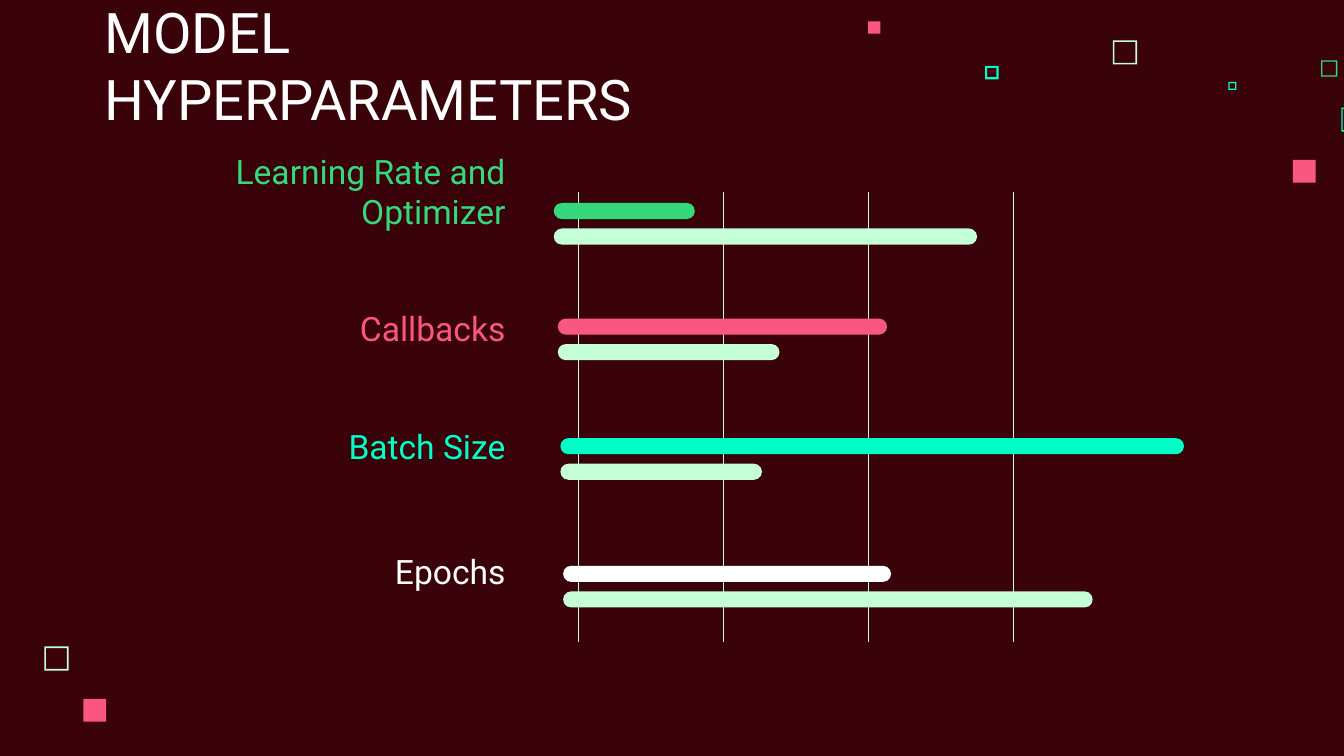
"""Build the model hyperparameters slide with paired comparison bars."""
from lxml import etree
from pptx import Presentation
from pptx.dml.color import RGBColor
from pptx.enum import shapes, text
from pptx.oxml.ns import qn
from pptx.util import Inches, Pt

THEME = {
    "font": "Roboto", "title_size": 30, "label_size": 18, "grid_width": 0.25,
    "background": "3A030A", "white": "FFFFFF", "mint": "C4FFD8",
    "green": "35D87B", "aqua": "00FFC6", "pink": "FA5780",
}

TITLE = "MODEL HYPERPARAMETERS"
TITLE_BOX = (0.68, 0.45, 5.17, 0.63)

# label, colour, label left, label top, bars left, bars top, bar lengths
PARAMETERS = [
    ("Epochs", "white", 1.8, 4.07, 4.19, 4.21, (2.44, 3.94)),
    ("Batch Size", "aqua", 1.8, 3.14, 4.17, 3.26, (4.64, 1.5)),
    ("Callbacks", "pink", 1.8, 2.26, 4.15, 2.37, (2.45, 1.65)),
    ("Learning Rate and Optimizer", "green", 0.68, 1.39, 4.12, 1.51, (1.05, 3.15)),
]
LABEL_RIGHT, LABEL_HEIGHT = 3.86, 0.43
BAR_HEIGHT, BAR_STEP = 0.12, 0.19

GRID_LEFT, GRID_STEP, GRID_COUNT = 4.3, 1.08, 4
GRID_TOP, GRID_BOTTOM = 1.43, 4.78

# left, top, side, colour, border as a share of the side
FRAMES = [
    (8.28, 0.3, 0.18, "mint", 0.07), (9.83, 0.45, 0.12, "green", 0.08),
    (9.14, 0.61, 0.06, "aqua", 0.17), (9.98, 0.8, 0.18, "aqua", 0.06),
    (7.33, 0.49, 0.1, "aqua", 0.15), (0.33, 4.81, 0.18, "mint", 0.07),
]
SQUARES = [(9.62, 1.19, 0.17), (6.46, 0.16, 0.09), (0.62, 5.2, 0.17)]


def color(name):
    return RGBColor.from_string(THEME[name])


def add_solid(slide, preset, box, fill):
    solid = slide.shapes.add_shape(preset, *map(Inches, box))
    solid.shadow.inherit = False
    solid.fill.solid()
    solid.fill.fore_color.rgb = color(fill)
    solid.line.fill.background()
    return solid


def add_words(slide, words, box, size, fill, align):
    frame = slide.shapes.add_textbox(*map(Inches, box)).text_frame
    frame.word_wrap = True
    frame.vertical_anchor = text.MSO_ANCHOR.BOTTOM
    frame.margin_left = frame.margin_right = Inches(0.1)
    frame.margin_top = frame.margin_bottom = Inches(0.1)
    frame.text = words
    paragraph = frame.paragraphs[0]
    paragraph.alignment = align
    font = paragraph.runs[0].font
    font.name, font.size = THEME["font"], Pt(THEME[size])
    font.color.rgb = color(fill)


def add_gridline(slide, x):
    gridline = slide.shapes.add_connector(
        shapes.MSO_CONNECTOR.STRAIGHT,
        Inches(x), Inches(GRID_TOP), Inches(x), Inches(GRID_BOTTOM))
    gridline.line.color.rgb = color("mint")
    gridline.line.width = Pt(THEME["grid_width"])
    etree.SubElement(gridline._element.spPr, qn("a:effectLst"))


def main():
    deck = Presentation()
    deck.slide_width = Inches(10)
    deck.slide_height = Inches(10) * 9 // 16
    slide = deck.slides.add_slide(deck.slide_layouts[6])
    slide.background.fill.solid()
    slide.background.fill.fore_color.rgb = color("background")
    preset = shapes.MSO_SHAPE

    for left, top, side, fill, border in FRAMES:
        outline = add_solid(slide, preset.FRAME, (left, top, side, side), fill)
        outline.adjustments[0] = border
    for left, top, side in SQUARES:
        add_solid(slide, preset.RECTANGLE, (left, top, side, side), "pink")

    add_words(slide, TITLE, TITLE_BOX, "title_size", "white", text.PP_ALIGN.LEFT)
    for i in range(GRID_COUNT):
        add_gridline(slide, GRID_LEFT + i * GRID_STEP)

    for label, fill, label_left, label_top, left, top, lengths in PARAMETERS:
        for i, (length, bar_fill) in enumerate(zip(lengths, (fill, "mint"))):
            box = (left, top + i * BAR_STEP, length, BAR_HEIGHT)
            bar = add_solid(slide, preset.ROUNDED_RECTANGLE, box, bar_fill)
            bar.adjustments[0] = 0.5
        box = (label_left, label_top, LABEL_RIGHT - label_left, LABEL_HEIGHT)
        add_words(slide, label, box, "label_size", fill, text.PP_ALIGN.RIGHT)

    deck.save("out.pptx")


if __name__ == "__main__":
    main()
